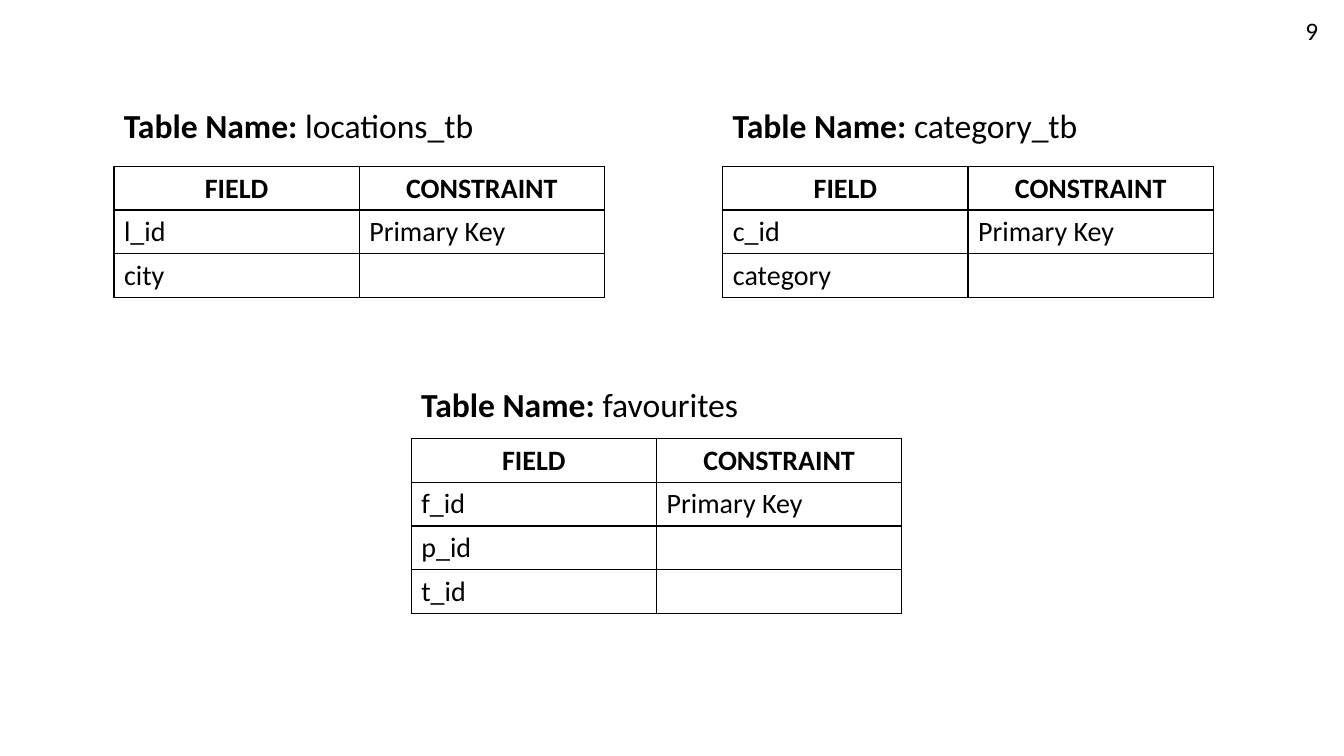
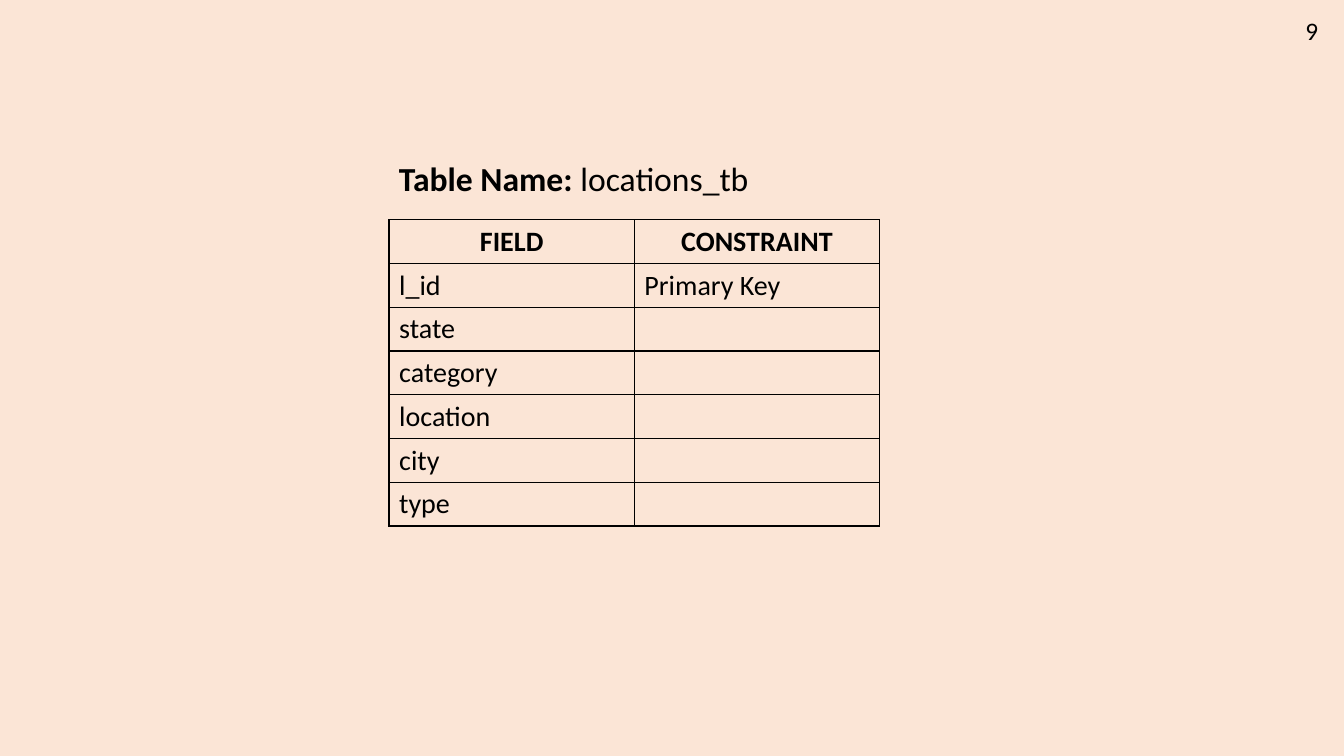
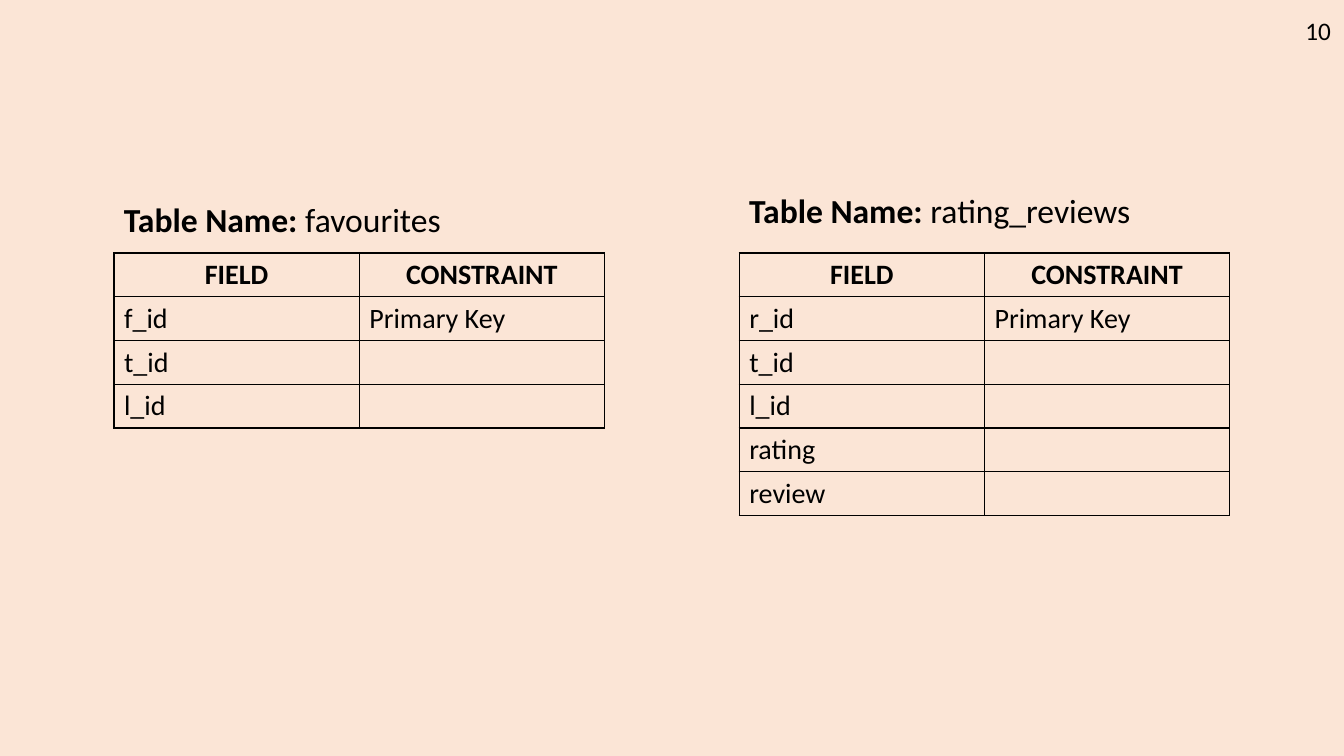
from lxml.etree import SubElement
from pptx import Presentation
from pptx.dml.color import RGBColor
from pptx.enum.text import MSO_AUTO_SIZE, PP_ALIGN
from pptx.oxml.ns import qn
from pptx.util import Inches, Pt

COLOURS = {"ink": "000000", "white": "FFFFFF", "peach": "FBE5D6"}
FORMATS = {
    "caption_label": {"size": Pt(24), "bold": True},
    "caption_name": {"size": Pt(24), "bold": False},
    "header": {"size": Pt(20), "bold": True},
    "field": {"size": Pt(20), "bold": False},
    "page_number": {"size": Pt(18), "bold": False},
}
HEADINGS = ("FIELD", "CONSTRAINT")
BORDERS = ("a:lnL", "a:lnR", "a:lnT", "a:lnB")


class SchemaDeck:
    font_name = "Calibri"
    grid_size = 100
    table_width = 36.5
    row_height = 5.79
    caption_size = (33.15, 6.67)

    def __init__(self):
        self.deck = Presentation()
        self.deck.slide_width = Inches(13.33)
        self.deck.slide_height = Inches(7.5)
        self.slide = None

    def columns(self, count):
        return int(self.deck.slide_width * count / self.grid_size)

    def rows(self, count):
        return int(self.deck.slide_height * count / self.grid_size)

    def place(self, left, top, width, height):
        return self.columns(left), self.rows(top), self.columns(width), self.rows(height)

    def add_slide(self, background, number):
        self.slide = self.deck.slides.add_slide(self.deck.slide_layouts[6])
        fill = self.slide.background.fill
        fill.solid()
        fill.fore_color.rgb = RGBColor.from_string(COLOURS[background])
        width = 1.55 + 0.95 * len(number)
        self.add_text((96.4, 1.33, width, 5.33), [(number, "page_number")], False)

    def add_span(self, para, text, style):
        span = para.add_run()
        span.text = text
        span.font.name = self.font_name
        span.font.color.rgb = RGBColor.from_string(COLOURS["ink"])
        for name, value in FORMATS[style].items():
            setattr(span.font, name, value)

    def add_text(self, area, spans, wrap=True):
        box = self.slide.shapes.add_textbox(*self.place(*area))
        box.text_frame.word_wrap = wrap
        box.text_frame.auto_size = MSO_AUTO_SIZE.SHAPE_TO_FIT_TEXT
        for text, style in spans:
            self.add_span(box.text_frame.paragraphs[0], text, style)

    def style_cell(self, cell):
        properties = cell._tc.get_or_add_tcPr()
        for border in BORDERS:
            line = SubElement(properties, qn(border), w=str(Pt(1)))
            fill = SubElement(line, qn("a:solidFill"))
            SubElement(fill, qn("a:srgbClr"), val=COLOURS["ink"])
        cell.fill.background()

    def add_table(self, left, top, fields):
        records = [HEADINGS, (fields[0], "Primary Key")]
        records += [(field, "") for field in fields[1:]]
        area = (left, top, self.table_width, self.row_height * len(records))
        table = self.slide.shapes.add_table(
            len(records), len(HEADINGS), *self.place(*area)
        ).table
        table.first_row = table.horz_banding = False
        for row, record in enumerate(records):
            for column, text in enumerate(record):
                cell = table.cell(row, column)
                self.style_cell(cell)
                para = cell.text_frame.paragraphs[0]
                if row == 0:
                    para.alignment = PP_ALIGN.CENTER
                if text:
                    self.add_span(para, text, "field" if row else "header")

    def add_schema(self, name, left, top, caption_gap, fields):
        self.add_table(left, top, fields)
        self.add_text(
            (left, top - caption_gap, *self.caption_size),
            [("Table Name: ", "caption_label"), (name, "caption_name")],
        )


SLIDES = [
    ("white", "9", [
        ("locations_tb", 8.48, 22, 8.8, ["l_id", "city"]),
        ("category_tb", 53.78, 22, 8.8, ["c_id", "category"]),
        ("favourites", 30.6, 58, 7.87, ["f_id", "p_id", "t_id"]),
    ]),
    ("peach", "9", [
        ("locations_tb", 28.95, 29.07, 8.8,
         ["l_id", "state", "category", "location", "city", "type"]),
    ]),
    ("peach", "10", [
        ("rating_reviews", 55, 33.47, 9.07,
         ["r_id", "t_id", "l_id", "rating", "review"]),
        ("favourites", 8.48, 33.47, 7.87, ["f_id", "t_id", "l_id"]),
    ]),
]


def main():
    schema_deck = SchemaDeck()
    for background, number, schemas in SLIDES:
        schema_deck.add_slide(background, number)
        for schema in schemas:
            schema_deck.add_schema(*schema)
    schema_deck.deck.save("out.pptx")


if __name__ == "__main__":
    main()
